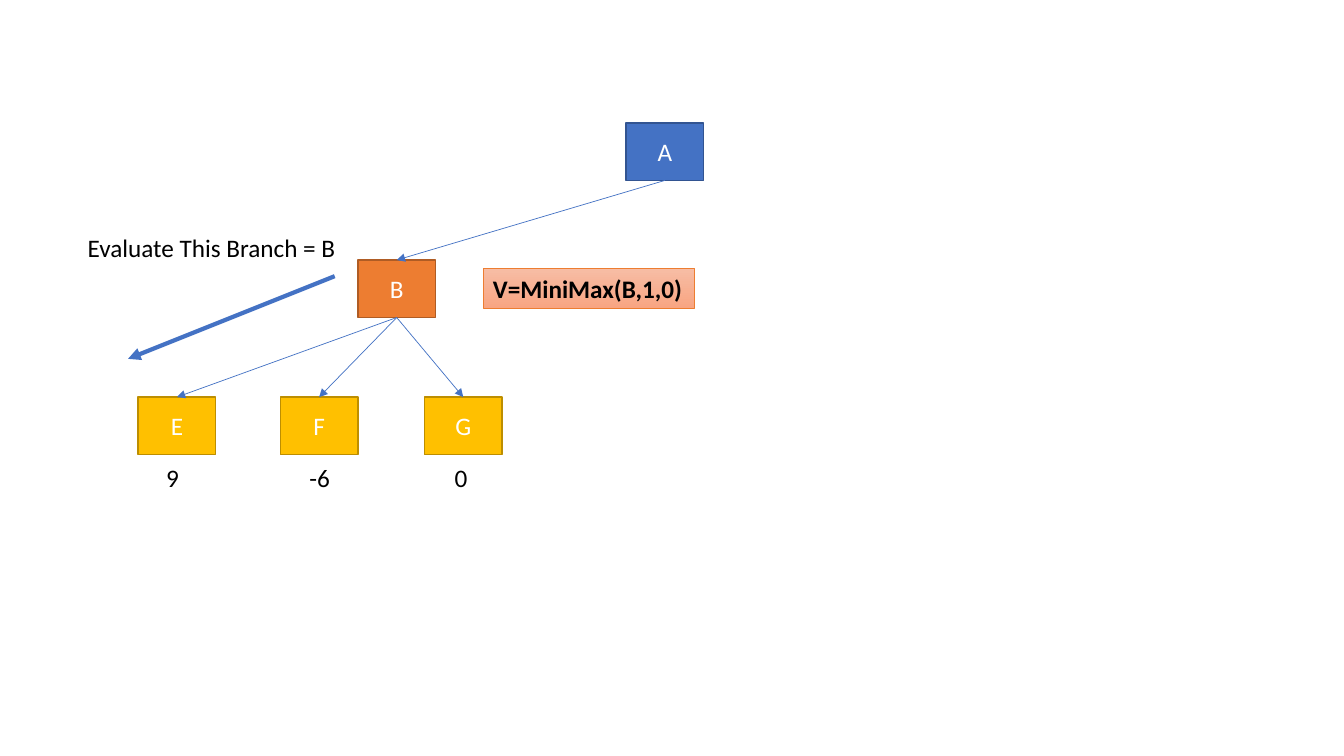
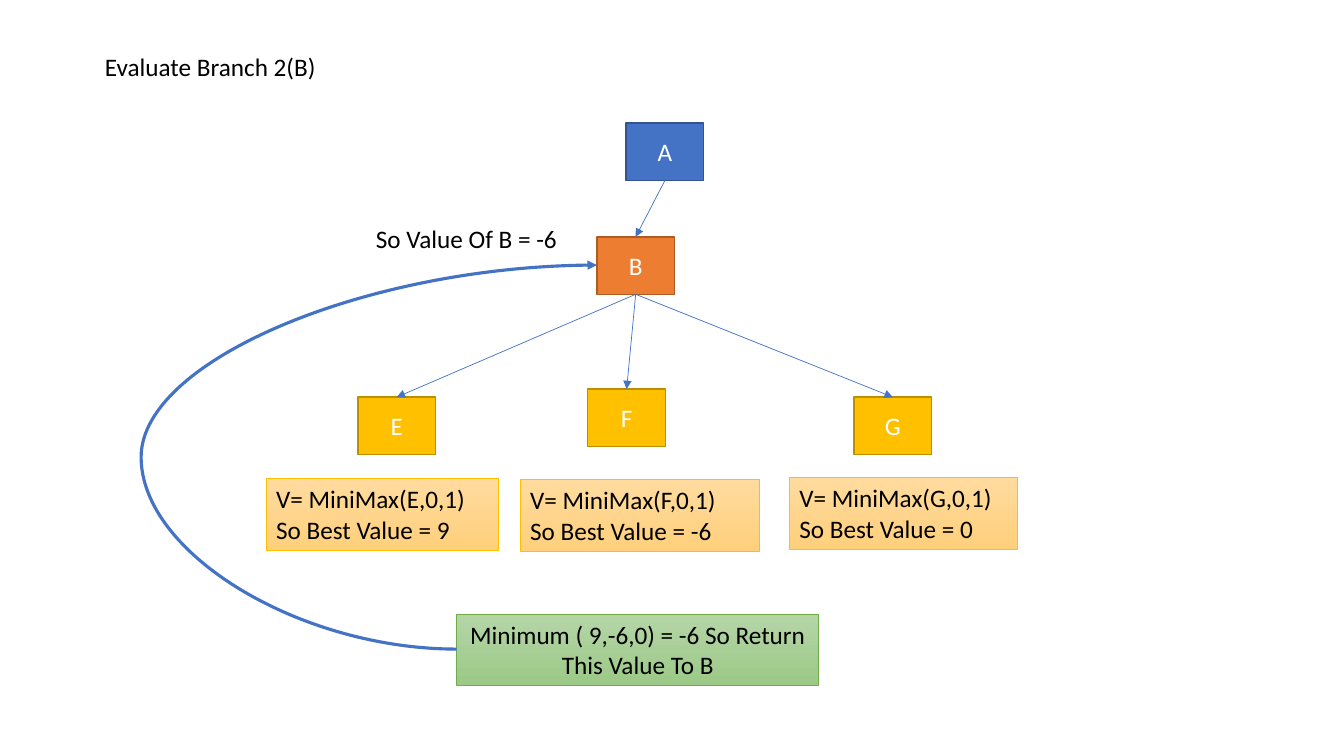
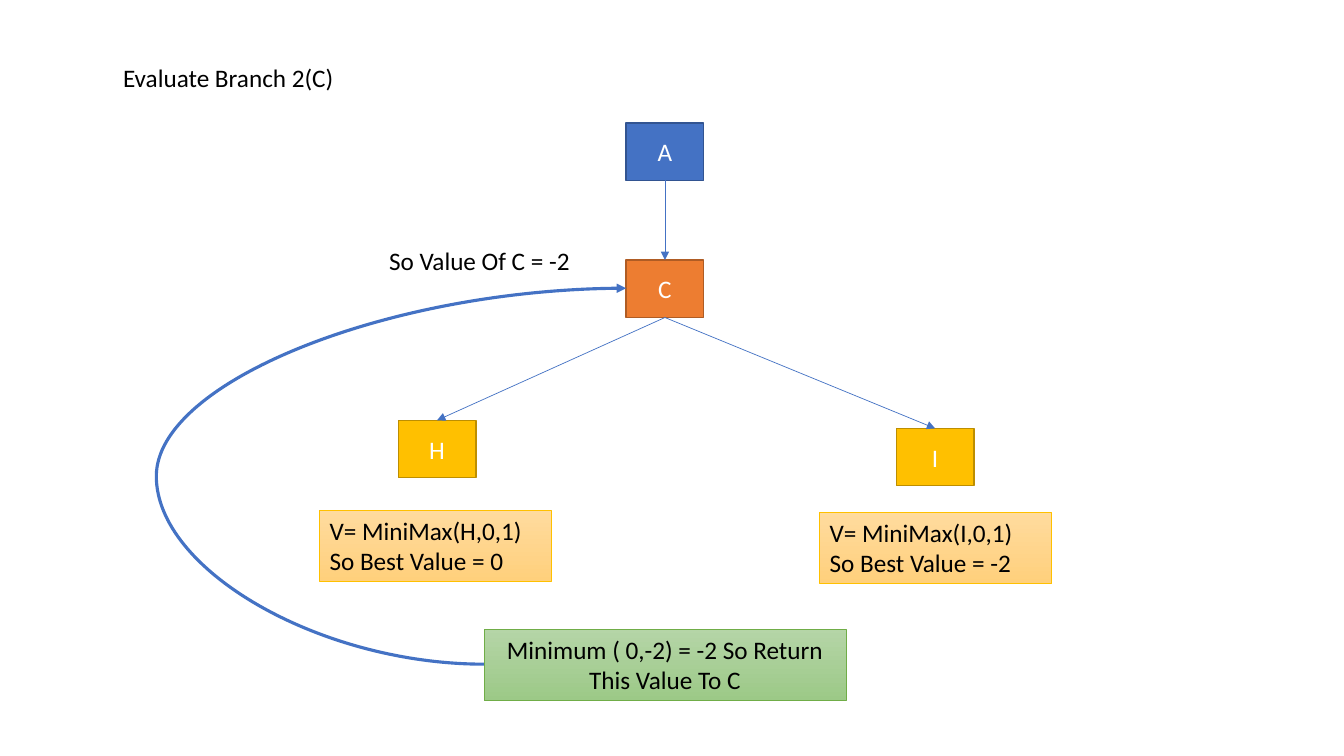
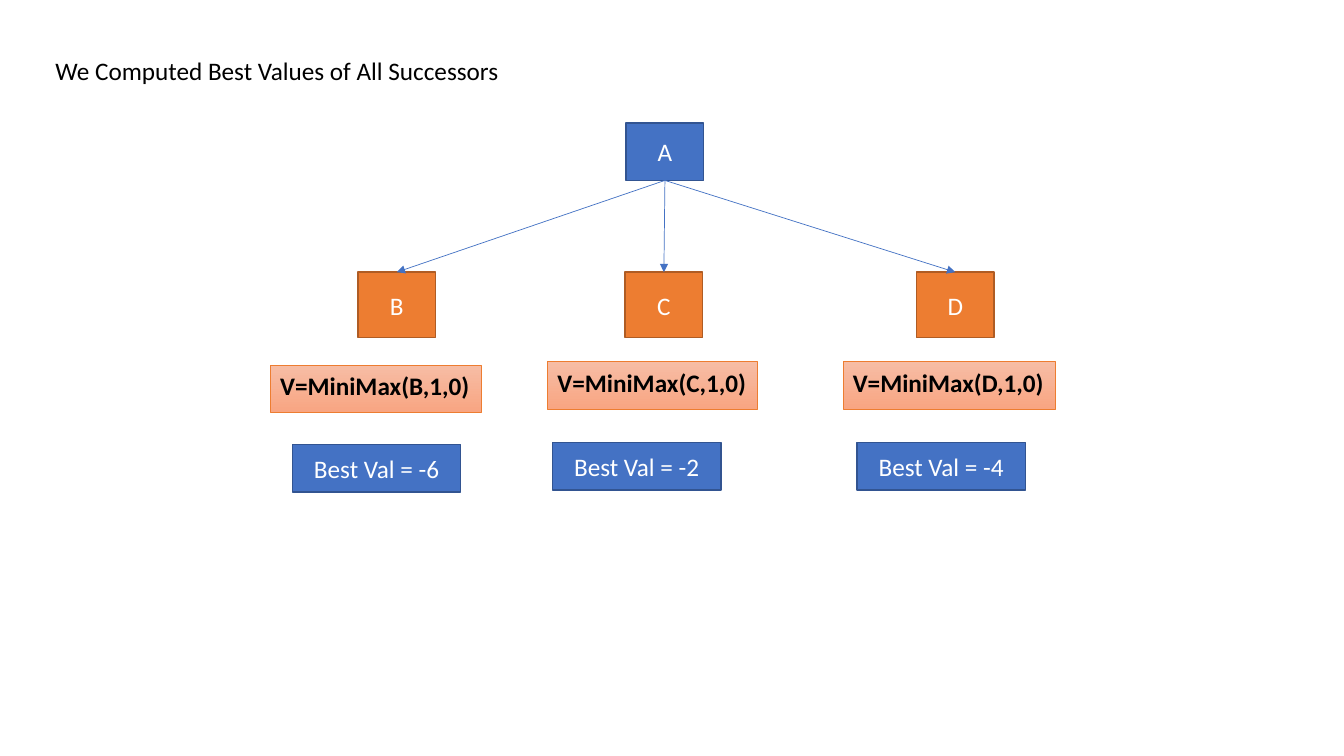
from dataclasses import dataclass

from lxml import etree
from pptx import Presentation
from pptx.dml.color import RGBColor
from pptx.enum.shapes import MSO_CONNECTOR, MSO_SHAPE
from pptx.enum.text import MSO_ANCHOR, MSO_AUTO_SIZE, PP_ALIGN
from pptx.oxml.ns import qn
from pptx.shapes.autoshape import Shape
from pptx.shapes.connector import Connector
from pptx.slide import Slide
from pptx.text.text import TextFrame
from pptx.util import Emu, Pt

EMU_PER_PX = 9144
FONT = "Calibri"
FONT_SIZE = 18
BLUE, BLACK, WHITE = "4472C4", "000000", "FFFFFF"
NODE_WIDTH, NODE_HEIGHT = 77, 57
TEXT_HEIGHT, NOTE_HEIGHT = 40, 71
RESULT_WIDTH = 359
TITLE_ONLY, BLANK = 5, 6

RECTANGLE = MSO_SHAPE.RECTANGLE
STRAIGHT, CURVE = MSO_CONNECTOR.STRAIGHT, MSO_CONNECTOR.CURVE
TOP, MIDDLE = MSO_ANCHOR.TOP, MSO_ANCHOR.MIDDLE
LEFT, CENTER = PP_ALIGN.LEFT, PP_ALIGN.CENTER
NO_AUTO_SIZE = MSO_AUTO_SIZE.NONE
TOP_SIDE, BOTTOM_SIDE = 0, 2


@dataclass(frozen=True)
class BoxStyle:
    """Look of a box; two fill colours make a top-to-bottom gradient."""
    fill: tuple[str, ...]
    line: str
    line_width: float = 1
    color: str = WHITE
    bold: bool = False
    anchor: MSO_ANCHOR = MIDDLE
    align: PP_ALIGN = CENTER
    wrap: bool = True


ROOT = BoxStyle((BLUE,), "325491")
BRANCH = BoxStyle(("ED7D31",), "AF5C24")
LEAF = BoxStyle(("FFC000",), "BD8E00")
CALL = BoxStyle(("F7BDA5", "F8A582"), "ED7D31", 0.5, BLACK, True, TOP, LEFT, False)
NOTE = BoxStyle(("FFDB9E", "FFD07C"), "FFC000", 0.5, BLACK, False, TOP, LEFT)
RESULT = BoxStyle(("B5D5A7", "9CC987"), "70AD47", 0.5, BLACK, False, TOP)


@dataclass(frozen=True)
class Leaf:
    name: str
    value: int
    left: int
    top: int
    note_left: int
    note_top: int
    note_width: int = 230


@dataclass(frozen=True)
class Evaluation:
    """One branch with its leaves and the minimum that is returned to it."""
    name: str
    title_at: tuple[int, int]
    node_at: tuple[int, int]
    value_at: tuple[int, int]
    result_at: tuple[int, int]
    curve_left: int
    leaves: tuple[Leaf, ...]


@dataclass(frozen=True)
class Successor:
    name: str
    value: int
    left: int
    call_left: int
    call_top: int
    call_width: int
    value_left: int
    value_top: int


EVALUATIONS = (
    Evaluation("B", (94, 46), (592, 235), (363, 217), (453, 609), 140, (
        Leaf("E", 9, 355, 394, 264, 475),
        Leaf("F", -6, 583, 386, 516, 476, 237),
        Leaf("G", 0, 847, 394, 783, 474, 226),
    )),
    Evaluation("C", (112, 57), (621, 258), (376, 238), (480, 624), 155, (
        Leaf("H", 0, 395, 417, 317, 506),
        Leaf("I", -2, 889, 425, 813, 508),
    )),
)

SUCCESSORS = (
    Successor("B", -6, 355, 268, 362, 209, 290, 441),
    Successor("C", -2, 620, 543, 359, 208, 548, 439),
    Successor("D", -4, 909, 836, 359, 211, 850, 439),
)


def px(length: int) -> Emu:
    return Emu(length * EMU_PER_PX)


def rgb(color: str) -> RGBColor:
    return RGBColor.from_string(color)


def write(text_frame: TextFrame, text: str, color: str = BLACK, bold: bool = False,
          align: PP_ALIGN = LEFT, anchor: MSO_ANCHOR = TOP, wrap: bool = True) -> None:
    text_frame.text = text
    text_frame.word_wrap = wrap
    text_frame.auto_size = NO_AUTO_SIZE
    text_frame.vertical_anchor = anchor
    for paragraph in text_frame.paragraphs:
        paragraph.alignment = align
        for run in paragraph.runs:
            run.font.name = FONT
            run.font.size = Pt(FONT_SIZE)
            run.font.bold = bold
            run.font.color.rgb = rgb(color)


def set_title(slide: Slide, text: str, left: int, top: int, width: int) -> None:
    title = slide.shapes.title
    title.left, title.top = px(left), px(top)
    title.width, title.height = px(width), px(TEXT_HEIGHT)
    write(title.text_frame, text)


def add_text(slide: Slide, text: str, left: int, top: int, width: int) -> None:
    box = slide.shapes.add_textbox(px(left), px(top), px(width), px(TEXT_HEIGHT))
    write(box.text_frame, text)


def add_box(slide: Slide, style: BoxStyle, text: str, left: int, top: int,
            width: int = NODE_WIDTH, height: int = NODE_HEIGHT) -> Shape:
    box = slide.shapes.add_shape(RECTANGLE, px(left), px(top), px(width), px(height))
    box.shadow.inherit = False
    if len(style.fill) == 1:
        box.fill.solid()
        box.fill.fore_color.rgb = rgb(style.fill[0])
    else:
        box.fill.gradient()
        box.fill.gradient_angle = 270
        for stop, color in zip(box.fill.gradient_stops, style.fill):
            stop.color.rgb = rgb(color)
    box.line.color.rgb = rgb(style.line)
    box.line.width = Pt(style.line_width)
    write(box.text_frame, text, style.color, style.bold, style.align, style.anchor, style.wrap)
    return box


def add_root(slide: Slide) -> Shape:
    return add_box(slide, ROOT, "A", 621, 122)


def add_arrow(slide: Slide, start: tuple[int, int], end: tuple[int, int],
              width: float, kind: MSO_CONNECTOR = STRAIGHT) -> Connector:
    arrow = slide.shapes.add_connector(kind, px(start[0]), px(start[1]), px(end[0]), px(end[1]))
    arrow.line.color.rgb = rgb(BLUE)
    arrow.line.width = Pt(width)
    etree.SubElement(arrow.line._get_or_add_ln(), qn("a:tailEnd"), type="triangle")
    etree.SubElement(arrow._element.spPr, qn("a:effectLst"))
    return arrow


def link(slide: Slide, parent: Shape, child: Shape) -> None:
    arrow = add_arrow(slide, (0, 0), (0, 0), 0.5)
    arrow.begin_connect(parent, BOTTOM_SIDE)
    arrow.end_connect(child, TOP_SIDE)


def add_return_curve(slide: Slide, start: tuple[int, int], end: tuple[int, int],
                     curve_left: int) -> None:
    """Curve that swings out to curve_left between its two ends."""
    curve = add_arrow(slide, start, end, 2.25, CURVE)
    bend = round((curve_left - start[0]) / (end[0] - start[0]) * 100000)
    adjustments = curve._element.spPr.find(qn("a:prstGeom")).find(qn("a:avLst"))
    etree.SubElement(adjustments, qn("a:gd"), name="adj1", fmla=f"val {bend}")


def build_first_branch(slide: Slide) -> None:
    root = add_root(slide)
    branch = add_box(slide, BRANCH, "B", 355, 258)
    link(slide, root, branch)
    for name, left, value, value_left in (
        ("E", 137, "9", 155), ("F", 278, "-6", 297), ("G", 421, "0", 441),
    ):
        link(slide, branch, add_box(slide, LEAF, name, left, 394))
        add_text(slide, value, value_left, 454, 58)
    add_arrow(slide, (332, 274), (127, 356), 3)
    add_text(slide, "Evaluate This Branch = B", 77, 226, 269)
    add_box(slide, CALL, "V=MiniMax(B,1,0)", 479, 266, 210, TEXT_HEIGHT)


def build_evaluation(slide: Slide, evaluation: Evaluation) -> None:
    name = evaluation.name
    set_title(slide, f"Evaluate Branch 2({name})", *evaluation.title_at, 243)
    branch = add_box(slide, BRANCH, name, *evaluation.node_at)
    link(slide, add_root(slide), branch)
    for leaf in evaluation.leaves:
        link(slide, branch, add_box(slide, LEAF, leaf.name, leaf.left, leaf.top))
        add_box(slide, NOTE, f"V= MiniMax({leaf.name},0,1)\nSo Best Value = {leaf.value}",
                leaf.note_left, leaf.note_top, leaf.note_width, NOTE_HEIGHT)

    values = [leaf.value for leaf in evaluation.leaves]
    listed = ",".join(str(value) for value in values)
    result_left, result_top = evaluation.result_at
    add_box(slide, RESULT,
            f"Minimum ( {listed}) = {min(values)} So Return This Value To {name}",
            result_left, result_top, RESULT_WIDTH, NOTE_HEIGHT)
    node_left, node_top = evaluation.node_at
    add_return_curve(slide, (result_left, result_top + NOTE_HEIGHT // 2),
                     (node_left, node_top + NODE_HEIGHT // 2), evaluation.curve_left)
    add_text(slide, f"So Value Of {name} = {min(values)}", *evaluation.value_at, 208)


def build_summary(slide: Slide) -> None:
    set_title(slide, "We Computed Best Values of All Successors", 45, 50, 471)
    root = add_root(slide)
    for successor in SUCCESSORS:
        link(slide, root, add_box(slide, BRANCH, successor.name, successor.left, 270, height=65))
        add_box(slide, CALL, f"V=MiniMax({successor.name},1,0)",
                successor.call_left, successor.call_top, successor.call_width, 47)
        add_box(slide, ROOT, f"Best Val = {successor.value}",
                successor.value_left, successor.value_top, 167, 47)


def main() -> None:
    presentation = Presentation()
    presentation.slide_width, presentation.slide_height = px(1333), px(750)
    layouts = presentation.slide_layouts
    build_first_branch(presentation.slides.add_slide(layouts[BLANK]))
    for evaluation in EVALUATIONS:
        build_evaluation(presentation.slides.add_slide(layouts[TITLE_ONLY]), evaluation)
    build_summary(presentation.slides.add_slide(layouts[TITLE_ONLY]))
    presentation.save("out.pptx")


if __name__ == "__main__":
    main()
